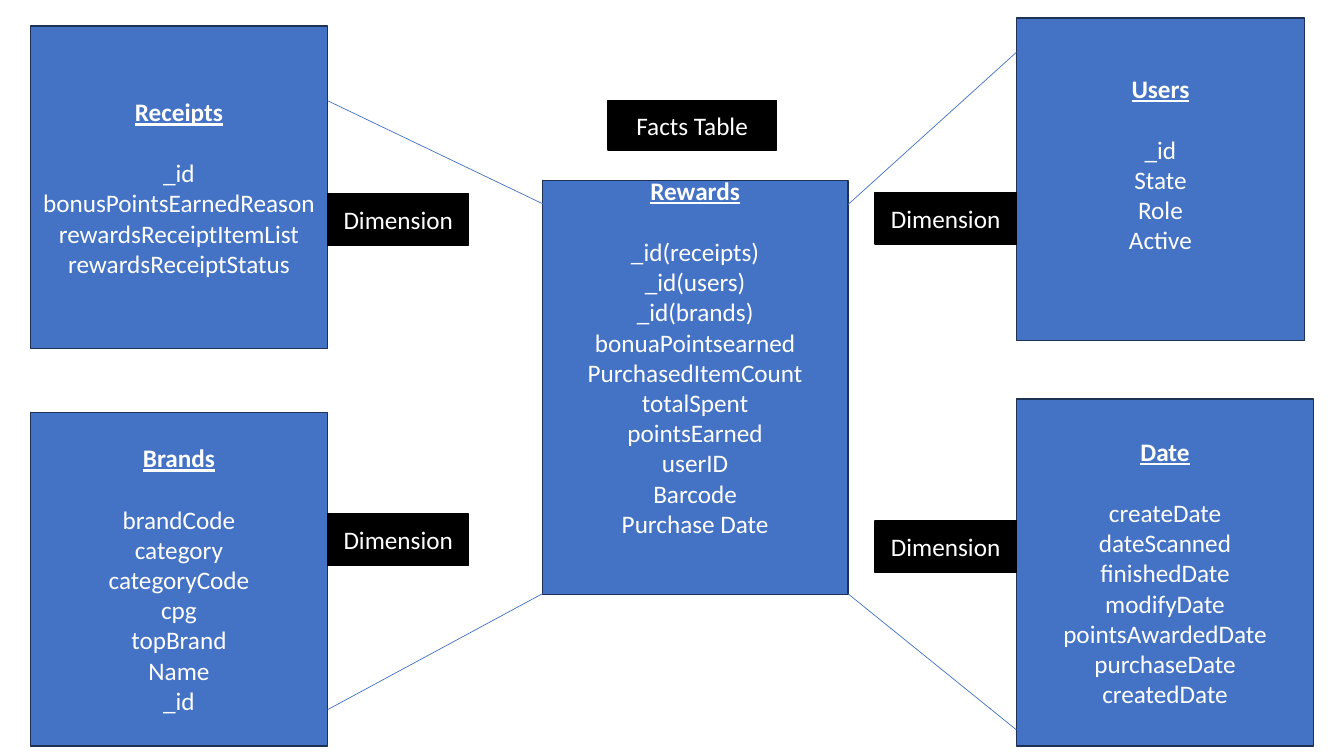
from lxml import etree
from pptx import Presentation
from pptx.dml.color import RGBColor
from pptx.enum.shapes import MSO_CONNECTOR, MSO_SHAPE
from pptx.enum.text import MSO_ANCHOR, PP_ALIGN
from pptx.oxml.ns import qn
from pptx.util import Inches, Pt

COLORS = {"table": "4472C4", "border": "1E3256", "label": "000000", "text": "FFFFFF"}
LINE_HEIGHT = 22  # points taken by one 18 pt line

prs = Presentation()
prs.slide_width, prs.slide_height = Inches(13.33), Inches(7.5)
s = prs.slides.add_slide(prs.slide_layouts[6])


def add_box(x, y, w, h, fill, border):
    sp = s.shapes.add_shape(MSO_SHAPE.RECTANGLE, Inches(x), Inches(y), Inches(w), Inches(h))
    sp.shadow.inherit = False
    sp.fill.solid()
    sp.fill.fore_color.rgb = RGBColor.from_string(COLORS[fill])
    sp.line.color.rgb = RGBColor.from_string(COLORS[border])
    sp.line.width = Pt(1)
    tf = sp.text_frame
    tf.word_wrap = True
    tf.vertical_anchor = MSO_ANCHOR.MIDDLE
    return tf


def add_text(p, text, heading=False):
    p.alignment = PP_ALIGN.CENTER
    r = p.add_run()
    r.text = text
    r.font.name = "Calibri"
    r.font.size = Pt(18)
    r.font.bold = r.font.underline = heading
    r.font.color.rgb = RGBColor.from_string(COLORS["text"])


# Title, position and size, lines left free at the bottom, fields
tables = [
    ("Rewards", (5.38, 1.79, 3.03, 4.11), 2,
     ["_id(receipts)", "_id(users)", "_id(brands)", "bonuaPointsearned", "PurchasedItemCount",
      "totalSpent", "pointsEarned", "userID", "Barcode", "Purchase Date"]),
    ("Users", (10.08, 0.18, 2.86, 3.2), 1, ["_id", "State", "Role", "Active"]),
    ("Date", (10.08, 3.96, 2.95, 3.44), 0,
     ["createDate", "dateScanned", "finishedDate", "modifyDate", "pointsAwardedDate",
      "purchaseDate", "createdDate"]),
    ("Receipts", (0.3, 0.26, 2.95, 3.2), 0,
     ["_id", "bonusPointsEarnedReason", "rewardsReceiptItemList", "rewardsReceiptStatus"]),
    ("Brands", (0.3, 4.09, 2.95, 3.31), 0,
     ["brandCode", "category", "categoryCode", "cpg", "topBrand", "Name", "_id"]),
]
for title, box, free_lines, fields in tables:
    tf = add_box(*box, "table", "border")
    tf.margin_bottom = Inches(0.05) + Pt(LINE_HEIGHT * free_lines)
    p = tf.paragraphs[0]
    p.space_after = Pt(LINE_HEIGHT)
    add_text(p, title, heading=True)
    for field in fields:
        add_text(tf.add_paragraph(), field)

# Links from the corners of the facts table to the dimensions
links = [
    (5.4, 2.03, 3.25, 1),
    (5.38, 5.89, 3.25, 7.04),
    (8.41, 5.89, 10.08, 7.24),
    (8.41, 2.03, 10.08, 0.52),
]
for link in links:
    line = s.shapes.add_connector(MSO_CONNECTOR.STRAIGHT, *[Inches(v) for v in link])
    line.line.color.rgb = RGBColor.from_string(COLORS["table"])
    line.line.width = Pt(0.5)
    etree.SubElement(line._element.spPr, qn("a:effectLst"))

labels = [("Facts Table", (6.03, 1, 1.67, 0.49))]
labels += [("Dimension", (x, y, 1.4, 0.51))
           for x, y in [(3.25, 1.92), (3.25, 5.1), (8.68, 1.91), (8.68, 5.17)]]
for text, box in labels:
    add_text(add_box(*box, "label", "label").paragraphs[0], text)

prs.save("out.pptx")
